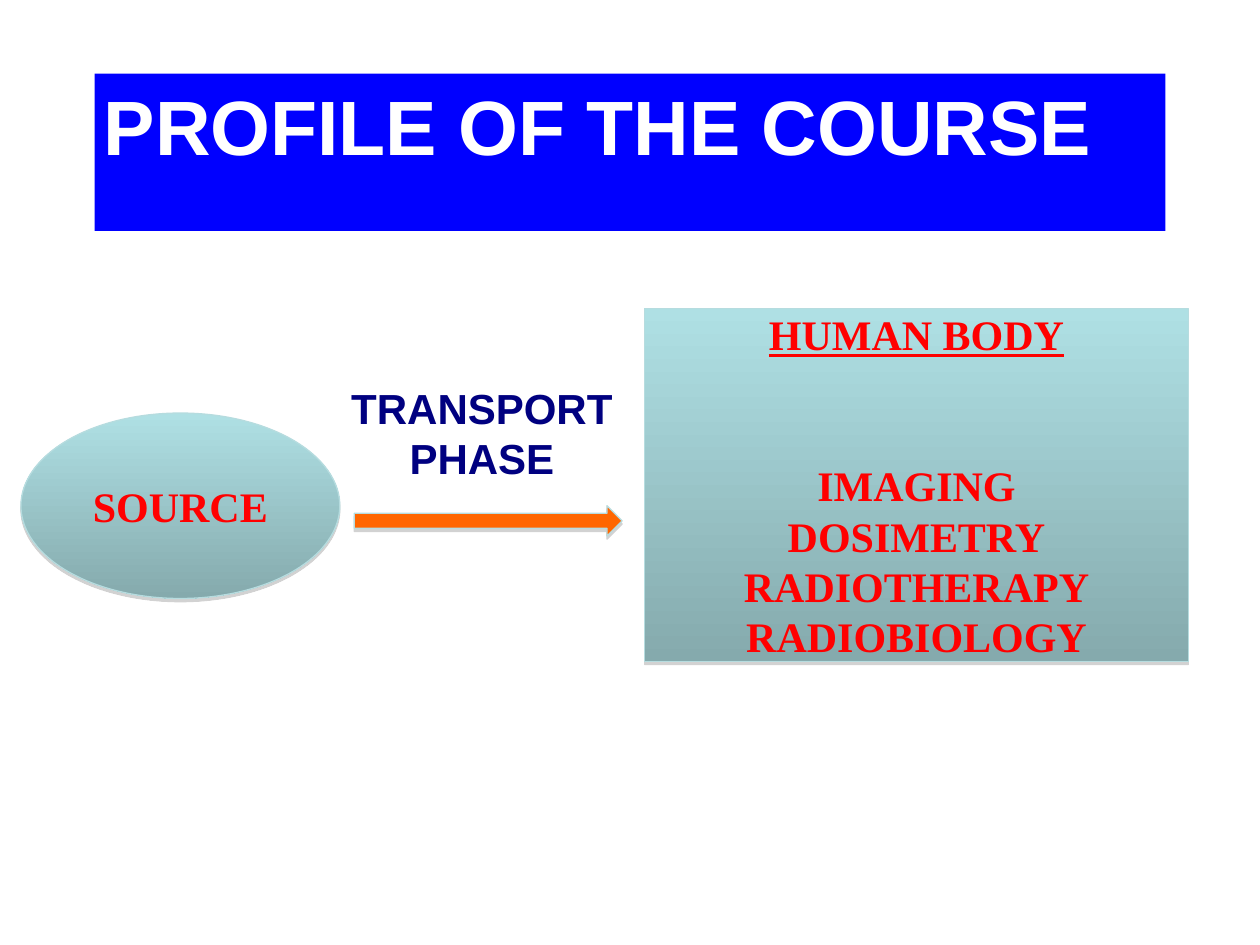
from dataclasses import dataclass

from lxml import etree
from pptx import Presentation
from pptx.dml.color import RGBColor
from pptx.enum.shapes import MSO_SHAPE
from pptx.enum.text import MSO_ANCHOR, MSO_AUTO_SIZE, PP_ALIGN
from pptx.oxml.ns import qn
from pptx.util import Pt

RECTANGLE, OVAL, ARROW = MSO_SHAPE.RECTANGLE, MSO_SHAPE.OVAL, MSO_SHAPE.RIGHT_ARROW
LEFT, CENTER = PP_ALIGN.LEFT, PP_ALIGN.CENTER
TOP, MIDDLE = MSO_ANCHOR.TOP, MSO_ANCHOR.MIDDLE
NO_AUTOFIT = MSO_AUTO_SIZE.NONE
TITLE_ONLY = 5

LINE_PITCH = 28.75
TEAL_GRADIENT = ("AFE0E4", "85AAAD")
OUTLINE = "B6DCDF"
SERIF_RED = {"name": "Times New Roman", "size": Pt(24), "bold": True, "color": "FF0000"}
SANS_NAVY = {"name": "Arial", "size": Pt(24), "bold": True, "color": "000080"}
TITLE_FONT = {"name": "Arial", "size": Pt(44), "bold": True, "color": "FFFFFF"}
TITLE_FRAME = {
    "text": "PROFILE OF THE COURSE",
    "auto_size": NO_AUTOFIT,
    "vertical_anchor": TOP,
    "margin_left": Pt(5.4),
    "margin_right": Pt(5.4),
    "margin_top": Pt(2.88),
    "margin_bottom": Pt(2.88),
}
LABEL_FRAME = {
    "word_wrap": False,
    "auto_size": NO_AUTOFIT,
    "margin_left": Pt(0),
    "margin_right": Pt(0),
}


@dataclass(frozen=True)
class Box:
    left: float
    top: float
    width: float
    height: float

    def lengths(self) -> tuple:
        return Pt(self.left), Pt(self.top), Pt(self.width), Pt(self.height)


@dataclass(frozen=True)
class Line:
    text: str
    underline: bool = False
    lines_before: int = 0


@dataclass(frozen=True)
class Block:
    kind: int
    box: Box
    colors: tuple
    lines: tuple = ()


TITLE_BOX = Box(54, 42, 612, 90)
LABEL_BOX = Box(193.7, 215, 163.4, 64.8)
LABEL_LINES = (Line("TRANSPORT"), Line("PHASE"))
BLOCKS = (
    Block(OVAL, Box(12, 236, 182.2, 106), TEAL_GRADIENT, (Line("SOURCE"),)),
    Block(RECTANGLE, Box(368.5, 176.4, 310.5, 201.6), TEAL_GRADIENT, (
        Line("HUMAN BODY", underline=True),
        Line("IMAGING", lines_before=2),
        Line("DOSIMETRY"),
        Line("RADIOTHERAPY"),
        Line("RADIOBIOLOGY"),
    )),
    Block(ARROW, Box(202.5, 289, 153, 17.3), ("FF6600",)),
)


def color(value: str) -> RGBColor:
    return RGBColor.from_string(value)


def format_frame(text_frame, values: dict) -> None:
    for name, value in values.items():
        setattr(text_frame, name, value)


def format_font(font, values: dict) -> None:
    for name, value in values.items():
        if name == "color":
            font.color.rgb = color(value)
        else:
            setattr(font, name, value)


def write_lines(text_frame, lines: tuple, font_values: dict) -> None:
    for index, line in enumerate(lines):
        paragraph = text_frame.paragraphs[0] if index == 0 else text_frame.add_paragraph()
        paragraph.alignment = CENTER
        paragraph.line_spacing = Pt(LINE_PITCH)
        if line.lines_before:
            paragraph.space_before = Pt(line.lines_before * LINE_PITCH)
        run = paragraph.add_run()
        run.text = line.text
        format_font(run.font, {**font_values, "underline": line.underline})


def add_drop_shadow(shape) -> None:
    effects = etree.SubElement(shape.element.spPr, qn("a:effectLst"))
    shadow = etree.SubElement(effects, qn("a:outerShdw"), blurRad="0",
                              dist=str(int(Pt(1.8))), dir="5400000", rotWithShape="0")
    tint = etree.SubElement(shadow, qn("a:srgbClr"), val="808080")
    etree.SubElement(tint, qn("a:alpha"), val="35000")


def add_block(slide, block: Block) -> None:
    shape = slide.shapes.add_shape(block.kind, *block.box.lengths())
    if len(block.colors) > 1:
        shape.fill.gradient()
        shape.fill.gradient_angle = 270
        for stop, value in zip(shape.fill.gradient_stops, block.colors):
            stop.color.rgb = color(value)
    else:
        shape.fill.solid()
        shape.fill.fore_color.rgb = color(block.colors[0])
    shape.line.color.rgb = color(OUTLINE)
    shape.line.width = Pt(0.75)
    add_drop_shadow(shape)
    shape.text_frame.vertical_anchor = MIDDLE
    write_lines(shape.text_frame, block.lines, SERIF_RED)


def format_title(title) -> None:
    title.left, title.top, title.width, title.height = TITLE_BOX.lengths()
    title.fill.solid()
    title.fill.fore_color.rgb = color("0000FF")
    format_frame(title.text_frame, TITLE_FRAME)
    paragraph = title.text_frame.paragraphs[0]
    paragraph.alignment = LEFT
    format_font(paragraph.runs[0].font, TITLE_FONT)


def main() -> None:
    presentation = Presentation()
    presentation.slide_width, presentation.slide_height = Pt(720), Pt(540)
    slide = presentation.slides.add_slide(presentation.slide_layouts[TITLE_ONLY])

    # Title banner
    format_title(slide.shapes.title)

    # Source, human body and the arrow between them
    for block in BLOCKS:
        add_block(slide, block)

    # Label above the arrow
    label = slide.shapes.add_textbox(*LABEL_BOX.lengths())
    format_frame(label.text_frame, LABEL_FRAME)
    write_lines(label.text_frame, LABEL_LINES, SANS_NAVY)

    presentation.save("out.pptx")


if __name__ == "__main__":
    main()
